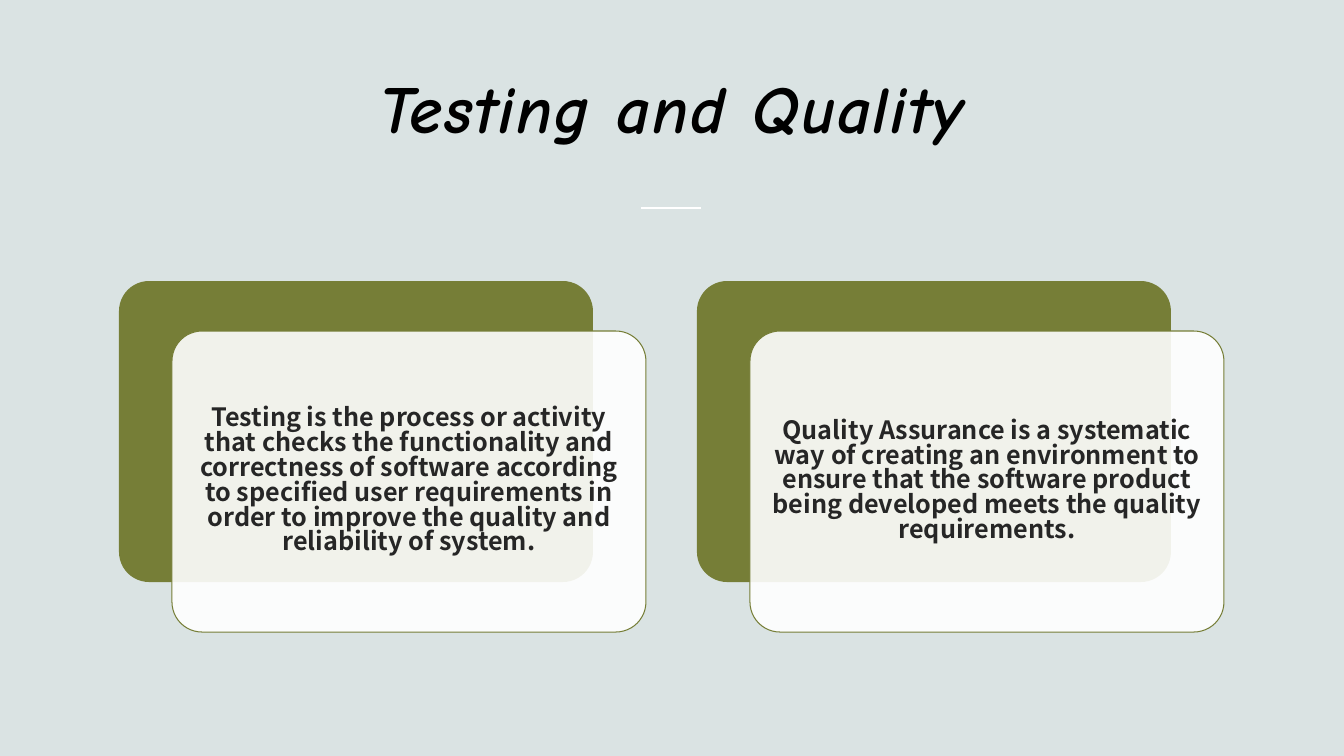
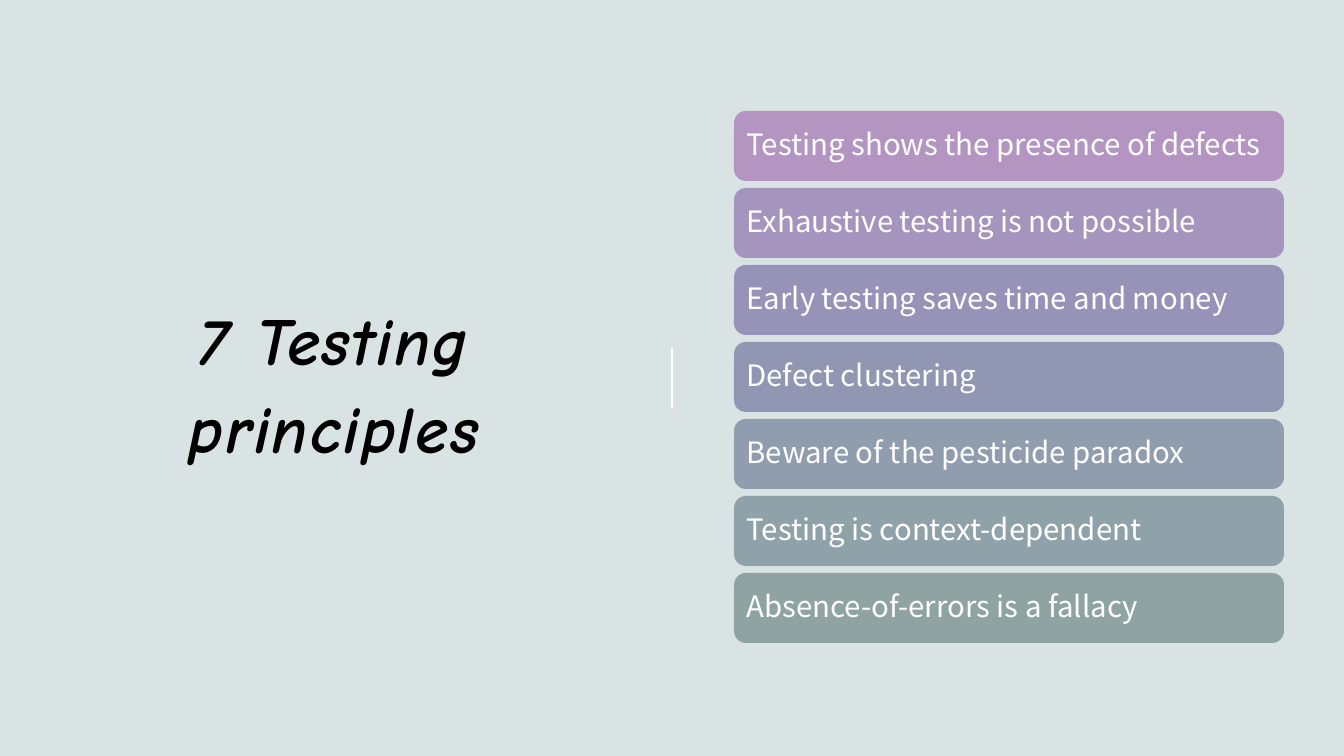
from lxml import etree
from pptx import Presentation
from pptx import util as u
from pptx.dml.color import RGBColor
from pptx.enum import shapes, text
from pptx.oxml import ns

EMU_PER_PX = 12192000 / 1344
COLORS = {
    "background": "DAE3E3",
    "title": "000000",
    "body": "262626",
    "olive": "767E37",
    "white": "FFFFFF",
}
BAR_COLORS = ["B495C2", "A594BD", "9792B8", "9197B3", "909DAE", "90A2A9", "8FA3A3"]
DEFINITIONS = [
    "Testing is the process or activity that checks the functionality and "
    "correctness of software according to specified user requirements in order "
    "to improve the quality and reliability of system.",
    "Quality Assurance is a systematic way of creating an environment to ensure "
    "that the software product being developed meets the quality requirements.",
]
PRINCIPLES = [
    "Testing shows the presence of defects",
    "Exhaustive testing is not possible",
    "Early testing saves time and money",
    "Defect clustering",
    "Beware of the pesticide paradox",
    "Testing is context-dependent",
    "Absence-of-errors is a fallacy",
]


def px(n):
    return u.Emu(round(n * EMU_PER_PX))


def rgb(color):
    return RGBColor.from_string(COLORS.get(color, color))


class Deck:
    """Holds the shared style and the slide being built."""

    title_font = "Comic Neue"
    body_font = "Noto Sans CJK JP"

    def __init__(self):
        self.prs = Presentation()
        self.prs.slide_width, self.prs.slide_height = px(1344), px(756)
        fill = self.prs.slide_master.background.fill
        fill.solid()
        fill.fore_color.rgb = rgb("background")

    def slide(self, title, x, y, w, h):
        self.s = self.prs.slides.add_slide(self.prs.slide_layouts[5])
        sp = self.s.shapes.title
        sp.left, sp.top, sp.width, sp.height = map(px, (x, y, w, h))
        r = self.label(sp, title, self.title_font, 48, "title", (12, 12, 12, 10),
                       bold=True, centered=True, spacing=1.1)
        r.font.italic = True
        r.font._element.set("spc", "120")

    def label(self, sp, words, font, size, color, insets,
              bold=False, centered=False, spacing=1.0):
        tf = sp.text_frame
        tf.text = words
        tf.word_wrap = True
        tf.auto_size = text.MSO_AUTO_SIZE.NONE
        tf.vertical_anchor = text.MSO_ANCHOR.MIDDLE
        tf.margin_left, tf.margin_top, tf.margin_right, tf.margin_bottom = map(px, insets)
        p = tf.paragraphs[0]
        p.alignment = text.PP_ALIGN.CENTER if centered else text.PP_ALIGN.LEFT
        p.line_spacing = spacing
        r = p.runs[0]
        r.font.name, r.font.size, r.font.bold = font, u.Pt(size), bold
        r.font.color.rgb = rgb(color)
        return r

    def rule(self, x1, y1, x2, y2):
        line = self.s.shapes.add_connector(
            shapes.MSO_CONNECTOR.STRAIGHT, *map(px, (x1, y1, x2, y2)))
        line.line.color.rgb = rgb("white")
        line.line.width = u.Pt(1)
        etree.SubElement(line._element.spPr, ns.qn("a:effectLst"))

    def box(self, x, y, w, h, color, corner, outline=None, opacity=100):
        sp = self.s.shapes.add_shape(
            shapes.MSO_SHAPE.ROUNDED_RECTANGLE, *map(px, (x, y, w, h)))
        sp.adjustments[0] = corner
        sp.shadow.inherit = False
        sp.fill.solid()
        sp.fill.fore_color.rgb = rgb(color)
        if opacity < 100:
            srgb = sp._element.spPr.find(".//" + ns.qn("a:srgbClr"))
            etree.SubElement(srgb, ns.qn("a:alpha"), val=str(opacity * 1000))
        if outline:
            sp.line.color.rgb = rgb(outline)
            sp.line.width = u.Pt(0.75)
        else:
            sp.line.fill.background()
        return sp

    def card(self, x, y, words):
        w, h = 474, 301
        self.box(x, y, w, h, "olive", 0.1)
        front = self.box(x + 53, y + 50, w, h, "white", 0.1, "olive", 90)
        self.label(front, words, self.body_font, 18, "body", (7,) * 4,
                   bold=True, centered=True, spacing=0.82)

    def bar(self, x, y, words, color):
        sp = self.box(x, y, 550, 70, color, 0.17)
        self.label(sp, words, self.body_font, 21, "white", (9,) * 4, spacing=0.9)


def main():
    deck = Deck()

    deck.slide("Testing and Quality", 109, 25, 1126, 153)
    deck.rule(641, 208, 701, 208)
    for i, words in enumerate(DEFINITIONS):
        deck.card(119 + 578 * i, 281, words)

    deck.slide("7 Testing principles", 119, 119, 430, 517)
    deck.rule(672, 348, 672, 408)
    for i, (words, color) in enumerate(zip(PRINCIPLES, BAR_COLORS)):
        deck.bar(734, 111 + 77 * i, words, color)

    deck.prs.save("out.pptx")


if __name__ == "__main__":
    main()
